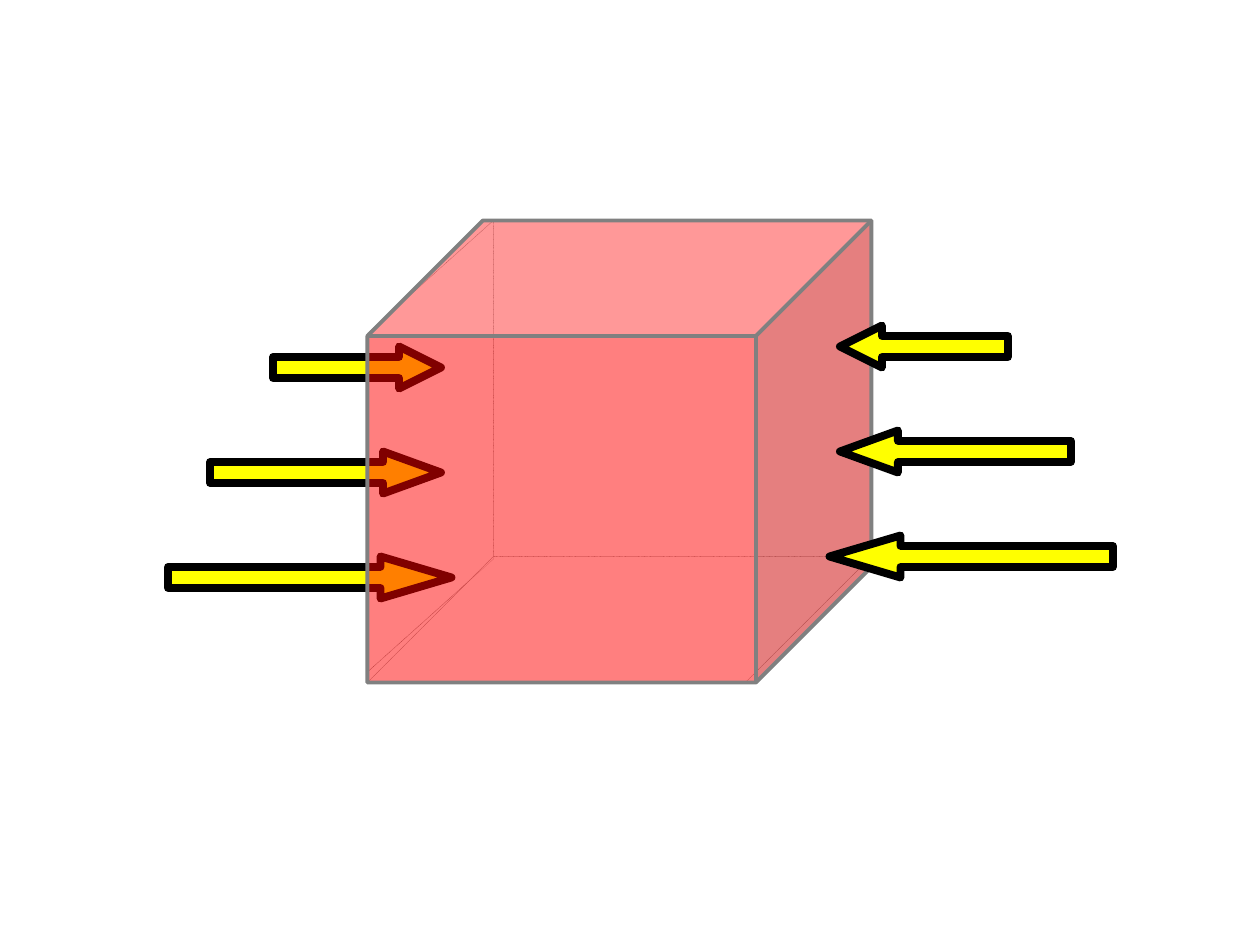
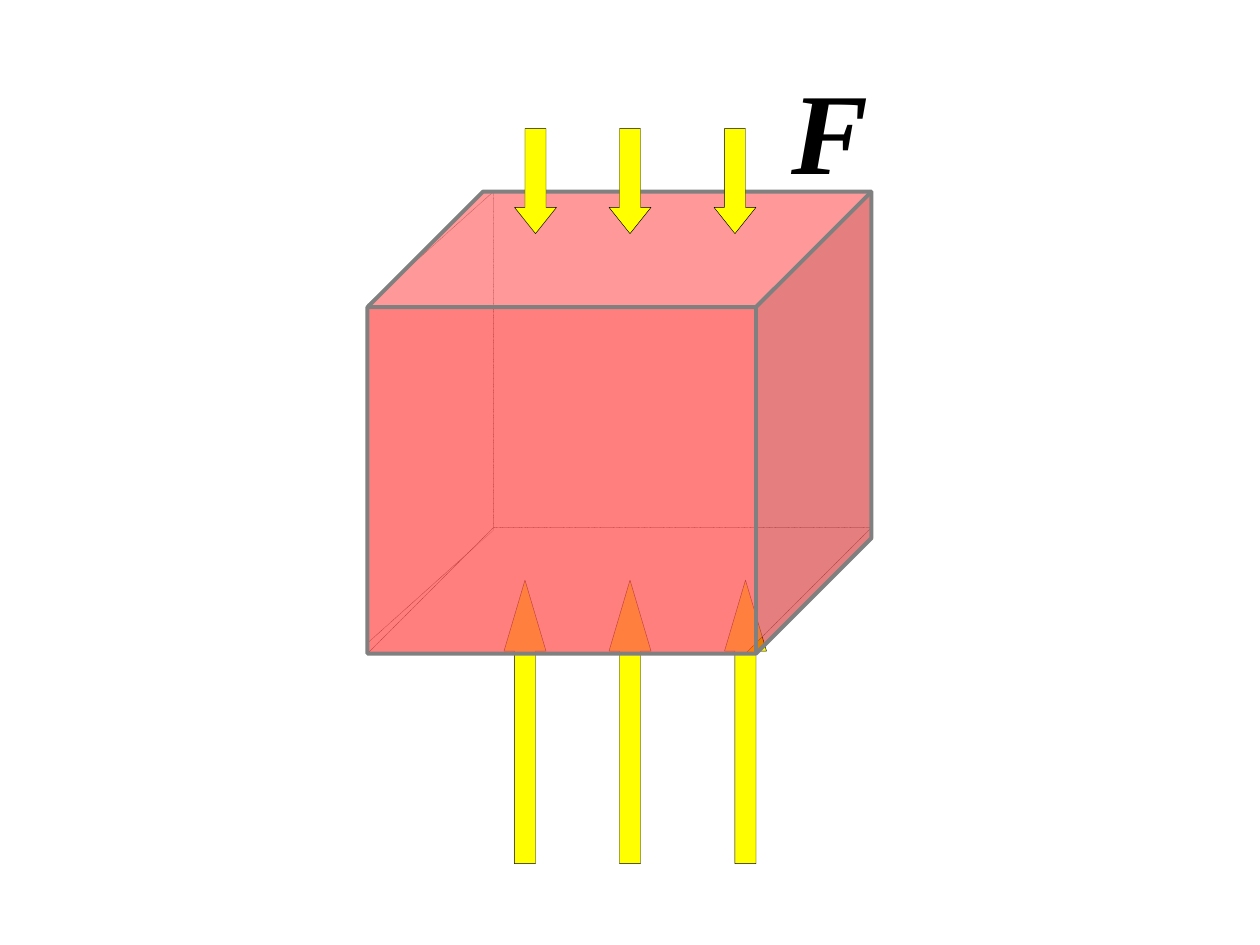
from lxml.etree import SubElement
from pptx import Presentation
from pptx.dml.color import RGBColor
from pptx.enum.dml import MSO_LINE
from pptx.enum.shapes import MSO_SHAPE
from pptx.enum.text import MSO_ANCHOR, MSO_AUTO_SIZE, PP_ALIGN
from pptx.oxml.ns import qn
from pptx.util import Pt

COLORS = {
    "background": "FFFFFF",
    "cube": "FF0000",
    "back_face": "FFFFFF",
    "edge": "808080",
    "arrow": "FFFF00",
    "ink": "000000",
}
FONT = "Times New Roman"
ARROW = 24                                    # thickness of every arrow
CUBE_LEFT, CUBE_W, CUBE_H = 210, 288, 264
DEPTH = 72                                    # height of the receding faces
WALL_LENGTH = 258


class Deck:
    """Holds the shared style and the slide being drawn."""

    def __init__(self):
        self.prs = Presentation()
        self.prs.slide_width, self.prs.slide_height = Pt(720), Pt(540)
        self.slide = None

    def color(self, name):
        return RGBColor.from_string(COLORS[name])

    def new_slide(self):
        self.slide = self.prs.slides.add_slide(self.prs.slide_layouts[6])
        fill = self.slide.background.fill
        fill.solid()
        fill.fore_color.rgb = self.color("background")

    def shape(self, kind, box, fill, line, weight, adjustments,
              alpha=None, flip=False):
        sp = self.slide.shapes.add_shape(kind, *map(Pt, box))
        sp.shadow.inherit = False
        for i, value in enumerate(adjustments):
            sp.adjustments[i] = value
        sp.fill.solid()
        sp.fill.fore_color.rgb = self.color(fill)
        if alpha is not None:
            clr = sp.fill._xPr.find(".//" + qn("a:srgbClr"))
            SubElement(clr, qn("a:alpha")).set("val", str(alpha * 1000))
        sp.line.color.rgb = self.color(line)
        sp.line.width = Pt(weight)
        if flip:
            sp._element.spPr.find(qn("a:xfrm")).set("flipH", "1")
        return sp

    def arrow(self, kind, box, head, weight, flip=False):
        return self.shape(kind, box, "arrow", "ink", weight, [0.5, head],
                          flip=flip)

    def group(self, shapes):
        self.slide.shapes.add_group_shape(shapes)

    def back_face(self, box, slant, flip=False):
        sp = self.shape(MSO_SHAPE.PARALLELOGRAM, box, "back_face", "edge",
                        0.25, [slant], alpha=50, flip=flip)
        sp.line.dash_style = MSO_LINE.ROUND_DOT
        return sp

    def back_faces(self, top):
        """Left wall, turned upright, and floor of the cube."""
        wall_left = CUBE_LEFT + DEPTH / 2 - WALL_LENGTH / 2
        wall_top = top + WALL_LENGTH / 2 - DEPTH / 2
        wall = self.back_face((wall_left, wall_top, WALL_LENGTH, DEPTH),
                              0.896, flip=True)
        wall.rotation = 90
        self.back_face((CUBE_LEFT, top + CUBE_H - DEPTH, CUBE_W, DEPTH), 1)

    def cube(self, top):
        self.shape(MSO_SHAPE.CUBE, (CUBE_LEFT, top, CUBE_W, CUBE_H),
                   "cube", "edge", 2.25, [0.25], alpha=50)

    def label(self, text, box, size):
        sp = self.slide.shapes.add_textbox(*map(Pt, box))
        tf = sp.text_frame
        tf.word_wrap = False
        tf.auto_size = MSO_AUTO_SIZE.SHAPE_TO_FIT_TEXT
        tf.vertical_anchor = MSO_ANCHOR.MIDDLE
        p = tf.paragraphs[0]
        p.alignment = PP_ALIGN.CENTER
        r = p.add_run()
        r.text = text
        r.font.name, r.font.size = FONT, Pt(size)
        r.font.bold = r.font.italic = True
        r.font.color.rgb = self.color("ink")


def side_pressure(deck):
    cube_top = 126
    # Bottom to top: length, head, left edge on each side
    rows = [(162, 1.69, 96, 474), (132, 1.38, 120, 480), (96, 1, 156, 480)]

    def push(top, column, flip):
        for i, row in enumerate(rows):
            deck.arrow(MSO_SHAPE.RIGHT_ARROW,
                       (row[column], top - 60 * i, row[0], ARROW),
                       row[1], 4.5, flip)

    deck.new_slide()
    deck.back_faces(cube_top)
    push(318, 2, False)
    deck.cube(cube_top)
    push(306, 3, True)


def vertical_pressure(deck):
    cube_top = 109.5

    def push(kind, lefts, top, length, head):
        deck.group([deck.arrow(kind, (left, top, ARROW, length), head, 0.25)
                    for left in lefts])

    deck.new_slide()
    push(MSO_SHAPE.UP_ARROW, (288, 348, 414), 331.5, 162, 1.69)
    deck.back_faces(cube_top)
    deck.cube(cube_top)
    push(MSO_SHAPE.DOWN_ARROW, (294, 348, 408), 73.5, 60, 0.625)
    # Force symbol
    deck.label("F", (445, 30.25, 58.3, 86.4), 66)


def main():
    deck = Deck()
    side_pressure(deck)
    vertical_pressure(deck)
    deck.prs.save("out.pptx")


if __name__ == "__main__":
    main()
